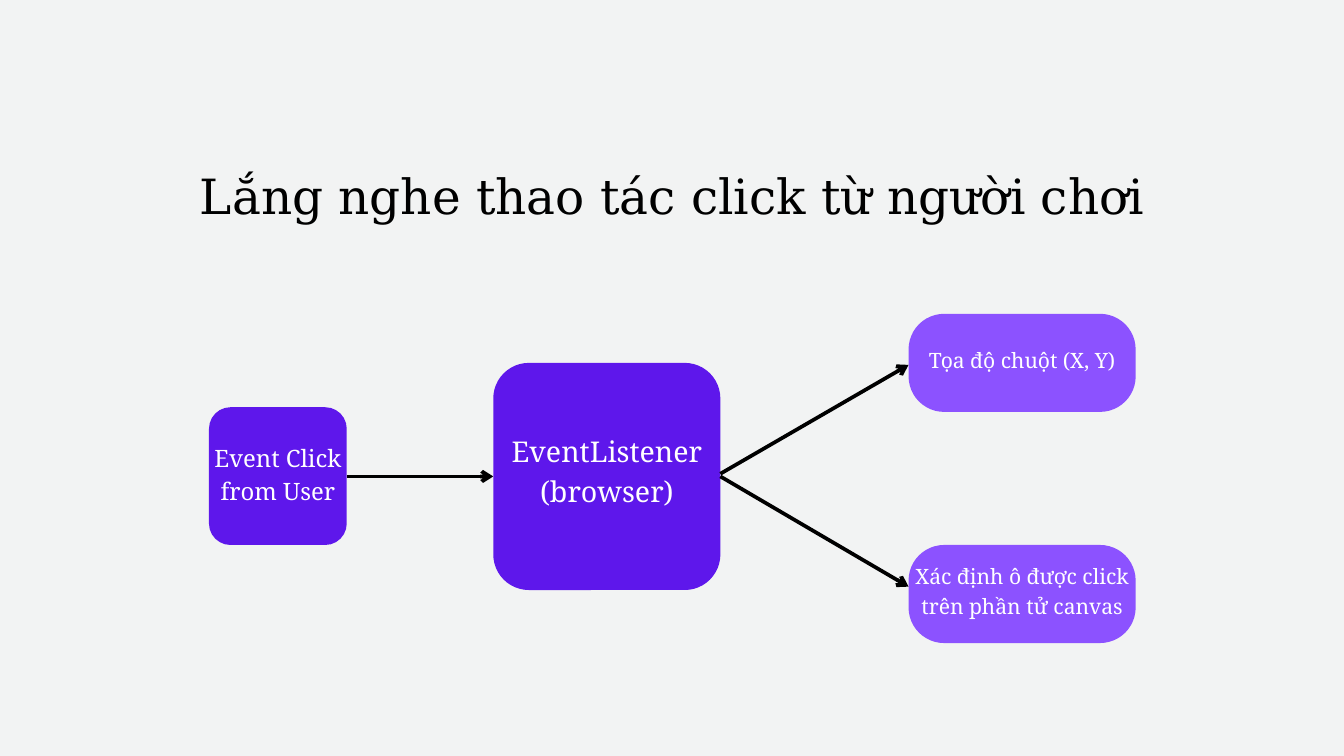
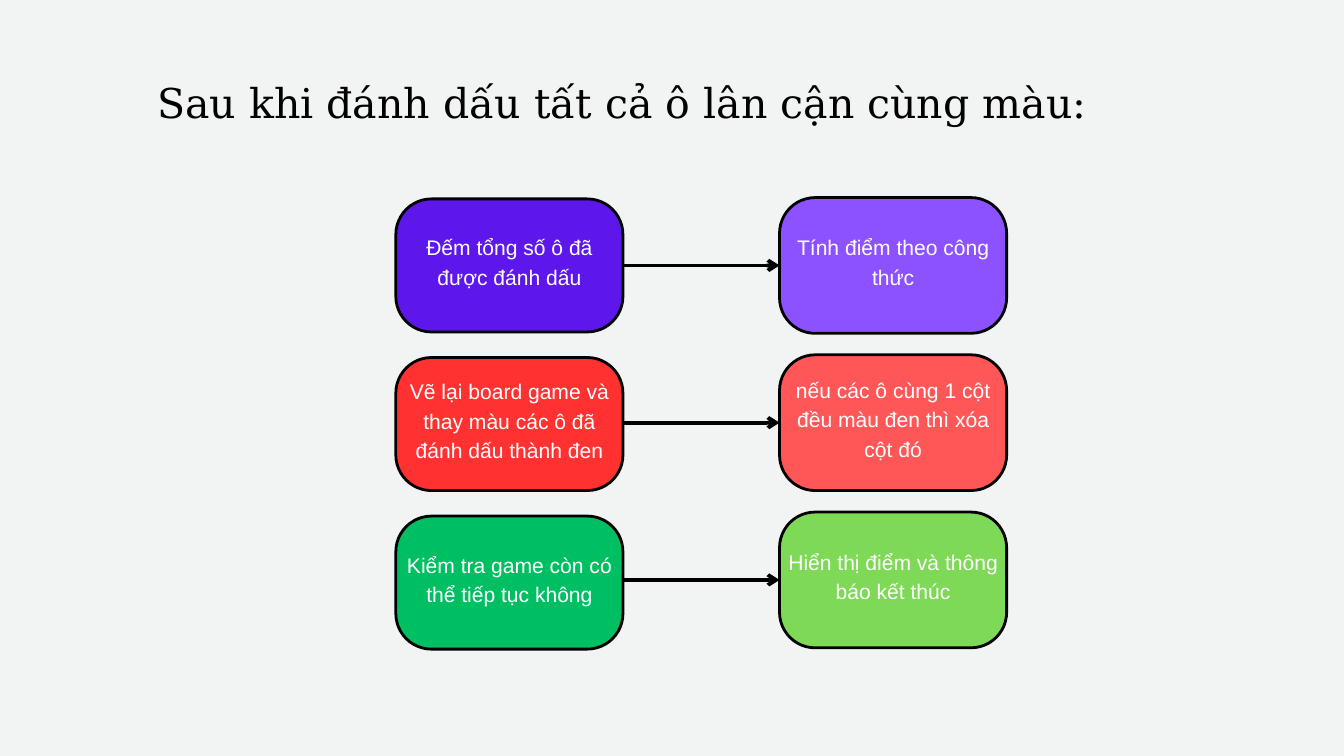
from dataclasses import dataclass
from typing import Any

from lxml import etree
from pptx import Presentation
from pptx.dml.color import RGBColor
from pptx.enum.shapes import MSO_CONNECTOR, MSO_SHAPE
from pptx.enum.text import MSO_ANCHOR, MSO_AUTO_SIZE, PP_ALIGN
from pptx.oxml.ns import qn
from pptx.slide import Slide
from pptx.util import Emu, Pt

STRAIGHT = MSO_CONNECTOR.STRAIGHT
ROUNDED_RECTANGLE = MSO_SHAPE.ROUNDED_RECTANGLE
TOP = MSO_ANCHOR.TOP
MIDDLE = MSO_ANCHOR.MIDDLE
NO_AUTOFIT = MSO_AUTO_SIZE.NONE
LEFT = PP_ALIGN.LEFT
CENTER = PP_ALIGN.CENTER

EMU_PER_PX = 9144
SLIDE_WIDTH = 2000
SLIDE_HEIGHT = 1125
TITLE_ONLY_LAYOUT = 5


@dataclass(frozen=True)
class TextStyle:
    font: str
    size: float
    leading: float
    color: str


@dataclass(frozen=True)
class Theme:
    background: str = "F2F3F3"
    ink: str = "000000"
    violet: str = "5E17EB"
    lavender: str = "8C52FF"
    red: str = "FF3131"
    coral: str = "FF5757"
    green: str = "00BF63"
    lime: str = "7ED957"
    arrow_width: int = 4
    outline_width: int = 3
    large_title: TextStyle = TextStyle("DejaVu Serif", 52, 72.8, "000000")
    title: TextStyle = TextStyle("DejaVu Serif", 44, 61.6, "000000")
    listener: TextStyle = TextStyle("Noto Serif", 30.6, 42.9, "FFFFFF")
    event: TextStyle = TextStyle("Noto Serif", 25.6, 35.9, "FFFFFF")
    result: TextStyle = TextStyle("Noto Serif", 22.6, 31.7, "FFFFFF")
    step: TextStyle = TextStyle("Arial", 22.6, 31.7, "FFFFFF")


THEME = Theme()


@dataclass(frozen=True)
class Box:
    left: int
    top: int
    width: int
    height: int

    @property
    def right(self) -> int:
        return self.left + self.width

    @property
    def middle(self) -> int:
        return self.top + self.height // 2


@dataclass(frozen=True)
class Card:
    text: str
    box: Box
    fill: str
    style: TextStyle
    radius: int = 53
    lift: int = 16
    outlined: bool = False


@dataclass(frozen=True)
class Arrow:
    start_x: int
    start_y: int
    end_x: int
    end_y: int


@dataclass(frozen=True)
class Step:
    action: str
    outcome: str
    action_fill: str
    outcome_fill: str


def px(length: int) -> Emu:
    return Emu(length * EMU_PER_PX)


def apply_format(target: Any, values: dict[str, Any]) -> None:
    for name, value in values.items():
        setattr(target, name, value)


def place(box: Box) -> tuple[Emu, Emu, Emu, Emu]:
    return px(box.left), px(box.top), px(box.width), px(box.height)


def write_text(shape: Any, text: str, style: TextStyle, alignment: Any,
               anchor: Any, margin: int) -> None:
    frame = shape.text_frame
    frame.text = text
    apply_format(frame, {
        "word_wrap": True,
        "auto_size": NO_AUTOFIT,
        "vertical_anchor": anchor,
        "margin_left": px(margin),
        "margin_right": px(margin),
        "margin_top": px(margin),
        "margin_bottom": px(margin),
    })
    for paragraph in frame.paragraphs:
        apply_format(paragraph, {
            "alignment": alignment,
            "line_spacing": Pt(style.leading),
            "space_before": Pt(0),
        })
        for run in paragraph.runs:
            apply_format(run.font, {"name": style.font, "size": Pt(style.size)})
            run.font.color.rgb = RGBColor.from_string(style.color)


def set_title(slide: Slide, text: str, box: Box, style: TextStyle, alignment: Any) -> None:
    title = slide.shapes.title
    apply_format(title, dict(zip(("left", "top", "width", "height"), place(box))))
    write_text(title, text, style, alignment, TOP, 0)


def draw_card(slide: Slide, card: Card) -> None:
    box = card.box
    shape = slide.shapes.add_shape(ROUNDED_RECTANGLE, *place(box))
    shape.shadow.inherit = False
    shape.adjustments[0] = card.radius / min(box.width, box.height)
    shape.fill.solid()
    shape.fill.fore_color.rgb = RGBColor.from_string(card.fill)
    if card.outlined:
        shape.line.color.rgb = RGBColor.from_string(THEME.ink)
        shape.line.width = Pt(THEME.outline_width)
    else:
        shape.line.fill.background()
    label_box = Box(box.left, box.top - card.lift, box.width, box.height + card.lift)
    label = slide.shapes.add_textbox(*place(label_box))
    write_text(label, card.text, card.style, CENTER, MIDDLE, 6)


def draw_arrow(slide: Slide, arrow: Arrow) -> None:
    connector = slide.shapes.add_connector(
        STRAIGHT, px(arrow.start_x), px(arrow.start_y), px(arrow.end_x), px(arrow.end_y))
    connector.line.color.rgb = RGBColor.from_string(THEME.ink)
    connector.line.width = Pt(THEME.arrow_width)
    etree.SubElement(connector.line._get_or_add_ln(), qn("a:tailEnd"), type="arrow")
    etree.SubElement(connector._element.spPr, qn("a:effectLst"))


def build_listener_slide(slide: Slide) -> None:
    set_title(slide, "Lắng nghe thao tác click từ người chơi",
              Box(218, 232, 1565, 99), THEME.large_title, CENTER)
    event = Box(311, 606, 205, 205)
    listener = Box(734, 540, 338, 338)
    position = Box(1352, 467, 338, 146)
    cell = Box(1352, 811, 338, 146)
    cards = (
        Card("EventListener\n(browser)", listener, THEME.violet, THEME.listener, lift=24),
        Card("Event Click from User", event, THEME.violet, THEME.event, radius=32, lift=12),
        Card("Tọa độ chuột (X, Y)", position, THEME.lavender, THEME.result),
        Card("Xác định ô được click trên phần tử canvas", cell, THEME.lavender, THEME.result),
    )
    arrows = (
        Arrow(event.right, listener.middle, listener.left, listener.middle),
        Arrow(listener.right, 705, position.left, 543),
        Arrow(listener.right, listener.middle, cell.left, 873),
    )
    for card in cards:
        draw_card(slide, card)
    for arrow in arrows:
        draw_arrow(slide, arrow)


def build_steps_slide(slide: Slide) -> None:
    set_title(slide, "Sau khi đánh dấu tất cả ô lân cận cùng màu:",
              Box(234, 103, 1531, 83), THEME.title, LEFT)
    steps = (
        Step("Đếm tổng số ô đã được đánh dấu", "Tính điểm theo công thức",
             THEME.violet, THEME.lavender),
        Step("Vẽ lại board game và thay màu các ô đã đánh dấu thành đen",
             "nếu các ô cùng 1 cột đều màu đen thì xóa cột đó", THEME.red, THEME.coral),
        Step("Kiểm tra game còn có thể tiếp tục không",
             "Hiển thị điểm và thông báo kết thúc", THEME.green, THEME.lime),
    )
    for row, step in enumerate(steps):
        action = Box(589, 296 + 236 * row, 338, 198)
        outcome = Box(1160, 294 + 234 * row, 338, 202)
        draw_card(slide, Card(step.action, action, step.action_fill, THEME.step, outlined=True))
        draw_card(slide, Card(step.outcome, outcome, step.outcome_fill, THEME.step, outlined=True))
        draw_arrow(slide, Arrow(action.right, outcome.middle, outcome.left, outcome.middle))


def main() -> None:
    presentation = Presentation()
    apply_format(presentation, {
        "slide_width": px(SLIDE_WIDTH),
        "slide_height": px(SLIDE_HEIGHT),
    })
    background = presentation.slide_master.background.fill
    background.solid()
    background.fore_color.rgb = RGBColor.from_string(THEME.background)
    layout = presentation.slide_layouts[TITLE_ONLY_LAYOUT]
    for build in (build_listener_slide, build_steps_slide):
        build(presentation.slides.add_slide(layout))
    presentation.save("out.pptx")


if __name__ == "__main__":
    main()
